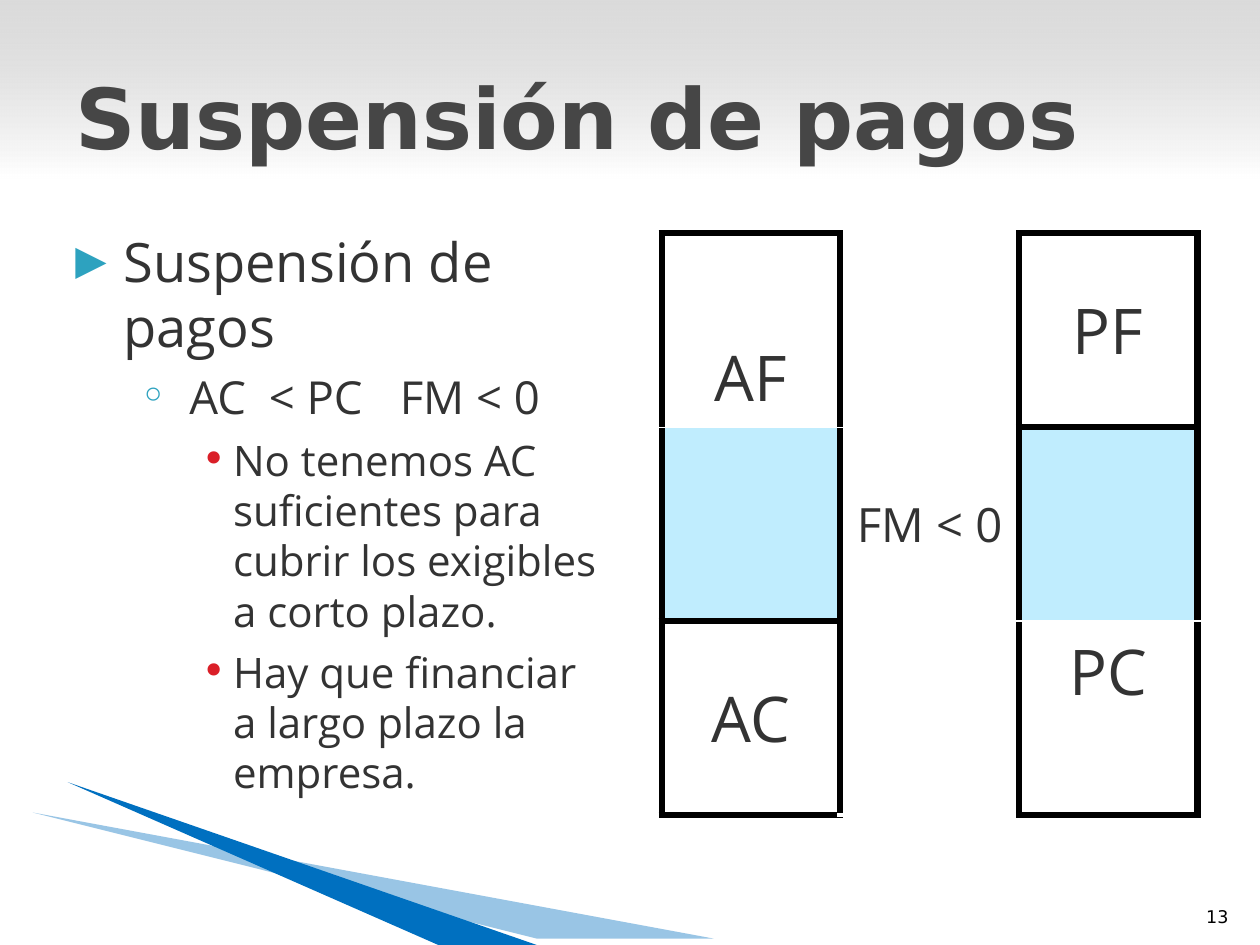
import pptx
import pptx.dml.color
import pptx.enum.shapes
import pptx.enum.text
import pptx.oxml.ns
import pptx.util
from lxml import etree

Cm, Pt = pptx.util.Cm, pptx.util.Pt
qn = pptx.oxml.ns.qn
ALIGN = pptx.enum.text.PP_ALIGN
ANCHOR = pptx.enum.text.MSO_ANCHOR
RECT = pptx.enum.shapes.MSO_SHAPE.RECTANGLE
INK, BLUE, CYAN, SKY, RED = "333333", "0070C0", "2DA2BF", "C0EDFE", "DA1F28"
BLACK, WHITE = "000000", "FFFFFF"
INSETS = (0.15, 0.15, 0.36, 0.15)


def rgb(code):
    """Turn a hex string into a colour."""
    return pptx.dml.color.RGBColor.from_string(code)


def sub(parent, tag, **attrs):
    """Append a drawing element with attributes."""
    el = etree.SubElement(parent, qn("a:" + tag))
    for name, value in attrs.items():
        el.set(name, str(value))
    return el


def write(p, text, size=24, font="Open Sans", color=INK, bold=False,
          align=None, left=0, hang=0, before=0, level=0, tabs=(),
          bullet=None, bullet_color=CYAN, bullet_size=100):
    """Fill one paragraph with formatted text."""
    p.level = level
    p.space_before = Pt(before)
    if align is not None:
        p.alignment = align
    r = p.add_run()
    r.text = text
    r.font.size, r.font.name, r.font.bold = Pt(size), font, bold
    r.font.color.rgb = rgb(color)
    pPr = p._p.get_or_add_pPr()
    pPr.set("marL", str(Cm(left)))
    pPr.set("indent", str(Cm(-hang)))
    if bullet:
        sub(sub(pPr, "buClr"), "srgbClr", val=bullet_color)
        sub(pPr, "buSzPct", val=bullet_size * 1000)
        sub(pPr, "buFont", typeface="DejaVu Sans")
        sub(pPr, "buChar", char=bullet)
    if tabs:
        tab_list = sub(pPr, "tabLst")
        for pos in tabs:
            sub(tab_list, "tab", pos=Cm(pos), algn="l")


def text_frame(s, box, anchor, insets=INSETS, wrap=True):
    """Add a text box and return its frame."""
    tf = s.shapes.add_textbox(*map(Cm, box)).text_frame
    tf.word_wrap, tf.vertical_anchor = wrap, anchor
    tf.margin_left, tf.margin_top, tf.margin_right, tf.margin_bottom = map(Cm, insets)
    return tf


def set_alpha(fill_element, percent):
    """Make the first colour of a fill partly transparent."""
    sub(next(fill_element.iter(qn("a:srgbClr"))), "alpha", val=percent * 1000)


def wedge(s, box, notch, alpha=None):
    """Draw a blue sliver across the box; notch is its inner bottom corner."""
    x, y, w, h = box
    builder = s.shapes.build_freeform(Cm(x), Cm(y))
    builder.add_line_segments([(Cm(x + w), Cm(y + h)), (Cm(x + notch * w), Cm(y + h))])
    sp = builder.convert_to_shape()
    sp.shadow.inherit = False
    sp.line.fill.background()
    sp.fill.solid()
    sp.fill.fore_color.rgb = rgb(BLUE)
    if alpha:
        set_alpha(sp._element.spPr.find(qn("a:solidFill")), alpha)


def header_band(s, box):
    """Draw the grey band that fades downwards."""
    sp = s.shapes.add_shape(RECT, *map(Cm, box))
    sp.shadow.inherit = False
    sp.line.fill.background()
    sp.fill.gradient()
    sp.fill.gradient_angle = 270
    for stop, code in zip(sp.fill.gradient_stops, ("C0C0C0", WHITE)):
        stop.color.rgb = rgb(code)
    set_alpha(sp._element.spPr.find(qn("a:gradFill")), 56)


def title(s, box, text):
    """Write the slide title."""
    tf = text_frame(s, box, ANCHOR.MIDDLE)
    write(tf.paragraphs[0], text, size=48, font="DejaVu Sans", color="464646",
          bold=True, left=1.07, hang=0.97)


def body(s, box):
    """Write the bulleted outline."""
    tf = text_frame(s, box, ANCHOR.TOP)
    detail = dict(size=24, left=3.28, hang=0.64, before=6, level=2,
                  bullet="•", bullet_color=RED)
    items = [
        ("Suspensión de pagos",
         dict(size=31, left=1.07, hang=0.97, bullet="▶", bullet_size=75)),
        ("AC\t< PC\tFM < 0",
         dict(size=26, left=2.4, hang=1, before=6, level=1, bullet="◦", tabs=(4, 6.64))),
        ("No tenemos AC suficientes para cubrir los exigibles a corto plazo.", detail),
        ("Hay que financiar a largo plazo la empresa.", detail),
    ]
    for i, (text, look) in enumerate(items):
        write(tf.add_paragraph() if i else tf.paragraphs[0], text, **look)


def cell_borders(cell, **special):
    """Rule a cell in thick black, except for the sides given."""
    tcPr = cell._tc.get_or_add_tcPr()
    for side in "LRTB":
        code, width = special.get(side, (BLACK, 4))
        ln = sub(tcPr, "ln" + side, w=Pt(width))
        sub(sub(ln, "solidFill"), "srgbClr", val=code)


def balance_table(s, box):
    """Draw assets and liabilities side by side with the gap between them."""
    x, y, w, h = box
    table = s.shapes.add_table(3, 3, *map(Cm, box)).table
    table.first_row = table.horz_banding = False
    for col in table.columns:
        col.width = Cm(w / 3)
    for row in table.rows:
        row.height = Cm(h / 3)
    table.cell(0, 1).merge(table.cell(2, 1))
    labels = {
        (0, 0): ("AF", 36, ANCHOR.BOTTOM), (0, 1): ("FM < 0", 27, ANCHOR.MIDDLE),
        (0, 2): ("PF", 36, ANCHOR.MIDDLE), (2, 0): ("AC", 36, ANCHOR.MIDDLE),
        (2, 2): ("PC", 36, ANCHOR.TOP),
    }
    hair, thin, none = (WHITE, 0.25), (WHITE, 1), (WHITE, 2.25)
    special = {
        (0, 0): dict(B=hair), (1, 0): dict(T=hair),
        (1, 2): dict(B=thin), (2, 2): dict(T=thin),
        (0, 1): dict(T=thin, B=none), (1, 1): dict(T=none, B=none),
        (2, 1): dict(T=none, B=none),
    }
    for r in range(3):
        for c in range(3):
            cell = table.cell(r, c)
            cell_borders(cell, **special.get((r, c), {}))
            if r == 1 and c != 1:
                cell.fill.solid()
                cell.fill.fore_color.rgb = rgb(SKY)
            else:
                cell.fill.background()
            cell.margin_left = cell.margin_right = Cm(0.15)
            cell.margin_top = cell.margin_bottom = Cm(0.15)
            if (r, c) in labels:
                text, size, cell.vertical_anchor = labels[r, c]
                write(cell.text_frame.paragraphs[0], text, size=size, align=ALIGN.CENTER)


def slide_number(s, box, text):
    """Write the page number."""
    tf = text_frame(s, box, ANCHOR.BOTTOM, insets=(0, 0.13, 0, 0.13), wrap=False)
    write(tf.paragraphs[0], text, size=10, font="DejaVu Sans", color=BLACK,
          align=ALIGN.CENTER)


def main():
    """Build the slide and save it."""
    prs = pptx.Presentation()
    prs.slide_width, prs.slide_height = Cm(25.4), Cm(19.05)
    s = prs.slides.add_slide(prs.slide_layouts[6])
    slide_number(s, (24.16, 18.11, 0.76, 0.71), "13")
    wedge(s, (0.66, 16.38, 13.72, 2.54), 0.74, alpha=40)
    wedge(s, (1.37, 15.77, 9.45, 3.28), 0.79)
    header_band(s, (0, 0, 25.4, 3.6))
    title(s, (1.27, 0.25, 22.86, 4.19), "Suspensión de pagos")
    body(s, (1.27, 4.45, 11.23, 12.47))
    balance_table(s, (13.34, 4.7, 10.8, 11.73))
    prs.save("out.pptx")


main()
